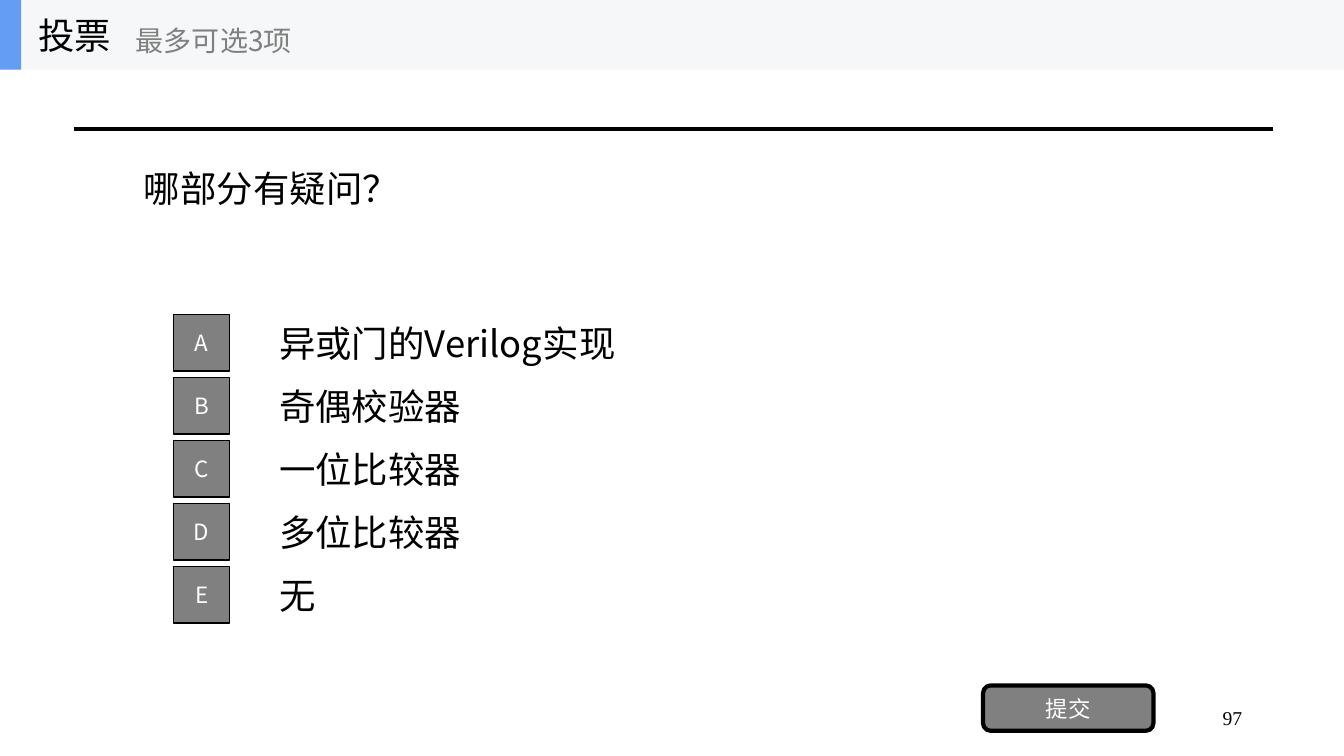
from dataclasses import dataclass

import pptx
import pptx.dml.color
import pptx.enum.shapes
import pptx.enum.text
import pptx.oxml.ns
import pptx.util
from lxml import etree
from pptx.dml.color import RGBColor
from pptx.enum.shapes import MSO_SHAPE
from pptx.enum.text import MSO_ANCHOR, PP_ALIGN
from pptx.util import Inches

BLACK = RGBColor(0x00, 0x00, 0x00)
WHITE = RGBColor(0xFF, 0xFF, 0xFF)
GRAY = RGBColor(0x80, 0x80, 0x80)
HEADER_GRAY = RGBColor(0xF6, 0xF7, 0xF8)
ACCENT_BLUE = RGBColor(0x63, 0x9E, 0xF4)

SANS = "Noto Sans CJK SC"
SERIF = "Times New Roman"

HEADER_HEIGHT = 0.69
OPTION_PITCH = 0.625
OPTIONS = ["异或门的Verilog实现", "奇偶校验器", "一位比较器", "多位比较器", "无"]


@dataclass
class Box:
    left: float
    top: float
    width: float
    height: float

    def lengths(self) -> list:
        return [Inches(value) for value in (self.left, self.top, self.width, self.height)]


@dataclass
class Label:
    text: str
    size: int = 26
    color: RGBColor = BLACK
    font: str = SANS
    alignment: PP_ALIGN = PP_ALIGN.LEFT
    anchor: MSO_ANCHOR = MSO_ANCHOR.MIDDLE


def write_label(shape, label: Label) -> None:
    frame = shape.text_frame
    frame.word_wrap = True
    frame.vertical_anchor = label.anchor
    paragraph = frame.paragraphs[0]
    paragraph.alignment = label.alignment
    run = paragraph.add_run()
    run.text = label.text
    font_format = {"name": label.font, "size": pptx.util.Pt(label.size)}
    for attribute, value in font_format.items():
        setattr(run.font, attribute, value)
    run.font.color.rgb = label.color
    properties = run.font._element
    east_asian = etree.SubElement(properties, pptx.oxml.ns.qn("a:ea"))
    east_asian.set("typeface", label.font)


def add_text(slide, box: Box, label: Label) -> None:
    write_label(slide.shapes.add_textbox(*box.lengths()), label)


def add_block(slide, box: Box, fill: RGBColor, kind=MSO_SHAPE.RECTANGLE, line_width: float = 0):
    shape = slide.shapes.add_shape(kind, *box.lengths())
    shape.shadow.inherit = False
    shape.fill.solid()
    shape.fill.fore_color.rgb = fill
    if line_width:
        shape.line.color.rgb = BLACK
        shape.line.width = pptx.util.Pt(line_width)
    else:
        shape.line.fill.background()
    return shape


def add_button(slide, box: Box, text: str, kind, line_width: float) -> None:
    shape = add_block(slide, box, GRAY, kind, line_width)
    write_label(shape, Label(text, 16, WHITE, alignment=PP_ALIGN.CENTER))


def add_rule(slide) -> None:
    connector = slide.shapes.add_connector(
        pptx.enum.shapes.MSO_CONNECTOR.STRAIGHT,
        Inches(0.73), Inches(1.28), Inches(12.63), Inches(1.28),
    )
    connector.line.color.rgb = BLACK
    connector.line.width = pptx.util.Pt(3)
    etree.SubElement(connector._element.spPr, pptx.oxml.ns.qn("a:effectLst"))


def add_header(slide) -> None:
    add_block(slide, Box(0, 0, 13.33, HEADER_HEIGHT), HEADER_GRAY)
    add_block(slide, Box(0, 0, 0.21, HEADER_HEIGHT), ACCENT_BLUE)
    add_text(slide, Box(0.28, 0, 2.08, HEADER_HEIGHT), Label("投票"))
    add_text(slide, Box(1.25, 0.12, 2.5, 0.56), Label("最多可选3项", 20, GRAY))


def add_options(slide) -> None:
    for index, text in enumerate(OPTIONS):
        offset = index * OPTION_PITCH
        add_text(slide, Box(2.67, 3.05 + offset, 9.33, 0.7), Label(text))
        letter = "ABCDE"[index]
        add_button(slide, Box(1.72, 3.12 + offset, 0.56, 0.56), letter, MSO_SHAPE.RECTANGLE, 1)


def main() -> None:
    presentation = pptx.Presentation()
    presentation.slide_width = Inches(13.33)
    presentation.slide_height = Inches(7.5)
    slide = presentation.slides.add_slide(presentation.slide_layouts[6])
    add_rule(slide)
    page_number = Label("97", 14, font=SERIF, alignment=PP_ALIGN.RIGHT, anchor=MSO_ANCHOR.TOP)
    add_text(slide, Box(9.42, 6.95, 3, 0.4), page_number)
    add_text(slide, Box(1.33, 0.69, 10.67, 2.34), Label("哪部分有疑问？"))
    add_options(slide)
    add_button(slide, Box(9.75, 6.8, 1.69, 0.45), "提交", MSO_SHAPE.ROUNDED_RECTANGLE, 3)
    add_header(slide)
    presentation.save("out.pptx")


if __name__ == "__main__":
    main()
